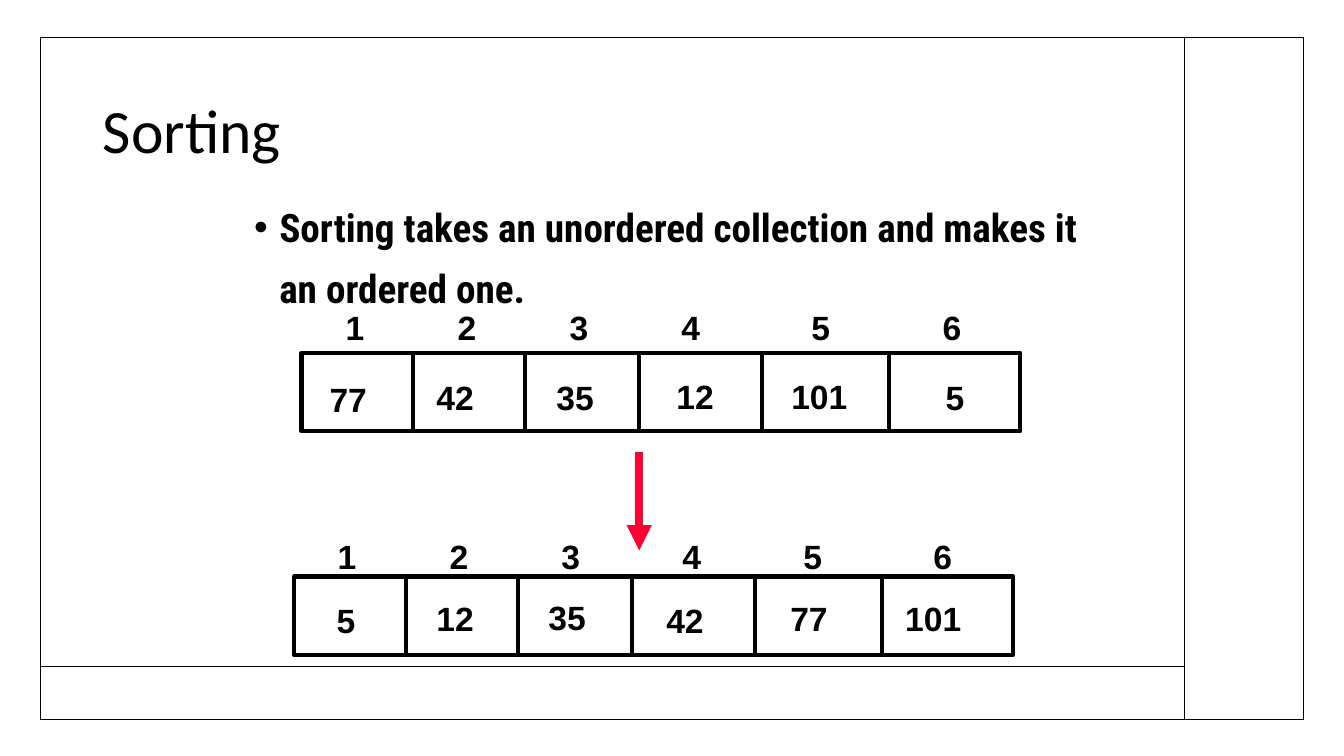
from dataclasses import dataclass

from lxml import etree
from pptx import Presentation
from pptx.dml.color import RGBColor
from pptx.enum.shapes import MSO_CONNECTOR, MSO_SHAPE
from pptx.enum.text import MSO_ANCHOR, MSO_AUTO_SIZE, PP_ALIGN
from pptx.oxml.ns import qn
from pptx.util import Inches, Pt

STRAIGHT = MSO_CONNECTOR.STRAIGHT
RECT = MSO_SHAPE.RECTANGLE
MIDDLE, TOP = MSO_ANCHOR.MIDDLE, MSO_ANCHOR.TOP
NO_FIT, GROW = MSO_AUTO_SIZE.NONE, MSO_AUTO_SIZE.SHAPE_TO_FIT_TEXT
LEFT = PP_ALIGN.LEFT


@dataclass(frozen=True)
class Theme:
    """Colours, fonts and sizes of the slide."""
    ink: RGBColor = RGBColor(0, 0, 0)
    accent: RGBColor = RGBColor(0xFF, 0, 0x33)
    head: tuple = ("Calibri", 44, False)
    body: tuple = ("Roboto Condensed", 28, True)
    cell: tuple = ("Arial", 24, True)
    thin: float = 1
    thick: float = 3
    bold: float = 6


THEME = Theme()
SPLITS = (1.11, 2.22, 3.35, 4.57, 5.83)


def style(para, look):
    """Apply a font look to a paragraph."""
    font = para.font
    font.name, size, font.bold = look
    font.size = Pt(size)
    font.color.rgb = THEME.ink


def line(shapes, x1, y1, x2, y2, width, color=THEME.ink):
    """Draw a straight line and return it."""
    link = shapes.add_connector(STRAIGHT, Inches(x1), Inches(y1), Inches(x2), Inches(y2))
    link.line.width = Pt(width)
    link.line.color.rgb = color
    etree.SubElement(link._element.spPr, qn("a:effectLst"))
    return link


def box(shapes, x, y, w, h, width):
    """Draw an unfilled rectangle."""
    rect = shapes.add_shape(RECT, Inches(x), Inches(y), Inches(w), Inches(h))
    rect.shadow.inherit = False
    rect.fill.background()
    rect.line.width = Pt(width)
    rect.line.color.rgb = THEME.ink


def label(shapes, text, x, y, w, wrap=False):
    """Place one line of bold text and return its paragraph."""
    frame = shapes.add_textbox(Inches(x), Inches(y), Inches(w), Inches(0.51)).text_frame
    frame.word_wrap = wrap
    frame.auto_size = GROW
    para = frame.paragraphs[0]
    para.text = text
    return para


def border(shapes, x, y, w, h):
    """Draw the page frame with its side column and foot band."""
    side, foot = x + w - 1.18, y + h - 0.53
    box(shapes, x, y, w, h, THEME.thin)
    line(shapes, side, y, side, y + h, THEME.thin)
    line(shapes, x, foot, side, foot, THEME.thin)


def fill(holder, text, look, x, y, w, h, space, anchor):
    """Move a placeholder, write its text and return the paragraph."""
    holder.left, holder.top = Inches(x), Inches(y)
    holder.width, holder.height = Inches(w), Inches(h)
    frame = holder.text_frame
    frame.auto_size = NO_FIT
    frame.vertical_anchor = anchor
    para = frame.paragraphs[0]
    para.text = text
    para.alignment = LEFT
    para.line_spacing = space
    para.space_before = Pt(0)
    style(para, look)
    return para


def bullet(para):
    """Give a paragraph a hanging round bullet."""
    props = para._p.get_or_add_pPr()
    props.set("marL", str(Inches(0.25)))
    props.set("indent", str(-Inches(0.25)))
    font = etree.Element(qn("a:buFont"), typeface="Arial")
    mark = etree.Element(qn("a:buChar"), char="•")
    run = props.find(qn("a:defRPr"))
    run.addprevious(font)
    run.addprevious(mark)


def index(shapes, x, y, stops):
    """Write the cell numbers 1 to 6 at tab stops."""
    para = label(shapes, "\t".join("123456"), x, y, 6.35, True)
    tabs = etree.SubElement(para._p.get_or_add_pPr(), qn("a:tabLst"))
    for stop in stops:
        etree.SubElement(tabs, qn("a:tab"), pos=str(Inches(stop)), algn="l")
    style(para, THEME.cell)


def array(shapes, x, y, items):
    """Draw a six-cell array holding (text, offset, drop) items."""
    w, h = 7.13, 0.78
    box(shapes, x, y, w, h, THEME.thick)
    for split in SPLITS:
        line(shapes, x + split, y, x + split, y + h, THEME.thick)
    for text, dx, dy in items:
        para = label(shapes, text, x + dx, y + dy, 0.2 + 0.19 * len(text))
        style(para, THEME.cell)


def arrow(shapes, x, y, h):
    """Draw the red arrow pointing down."""
    link = line(shapes, x, y, x, y + h, THEME.bold, THEME.accent)
    etree.SubElement(link.line._get_or_add_ln(), qn("a:tailEnd"), type="triangle")


def main():
    """Build and save the slide."""
    deck = Presentation()
    deck.slide_width, deck.slide_height = Inches(13.33), Inches(7.5)
    slide = deck.slides.add_slide(deck.slide_layouts[1])
    shapes = slide.shapes
    border(shapes, 0.4, 0.37, 12.53, 6.77)
    fill(shapes.title, "Sorting", THEME.head, 0.92, 0.6, 10.38, 1.45, 0.9, MIDDLE)
    text = "Sorting takes an unordered collection and makes it an ordered one."
    bullet(fill(slide.placeholders[1], text, THEME.body, 2.42, 1.83, 8.5, 4.83, 1.3, TOP))
    array(shapes, 2.99, 3.5, (
        ("77", 0.18, 0.21), ("42", 1.24, 0.19), ("35", 2.43, 0.19),
        ("12", 3.62, 0.18), ("101", 4.76, 0.18), ("5", 6.29, 0.19)))
    index(shapes, 3.33, 3, (1.11, 2.22, 3.33, 4.62, 5.92))
    array(shapes.add_group_shape().shapes, 2.92, 5.72, (
        ("5", 0.32, 0.18), ("12", 1.31, 0.16), ("35", 2.42, 0.15),
        ("42", 3.59, 0.18), ("77", 4.82, 0.16), ("101", 5.96, 0.16)))
    index(shapes, 3.25, 5.27, (1.11, 2.22, 3.42, 4.62, 5.91))
    arrow(shapes, 6.34, 4.48, 0.98)
    deck.save("out.pptx")


if __name__ == "__main__":
    main()
